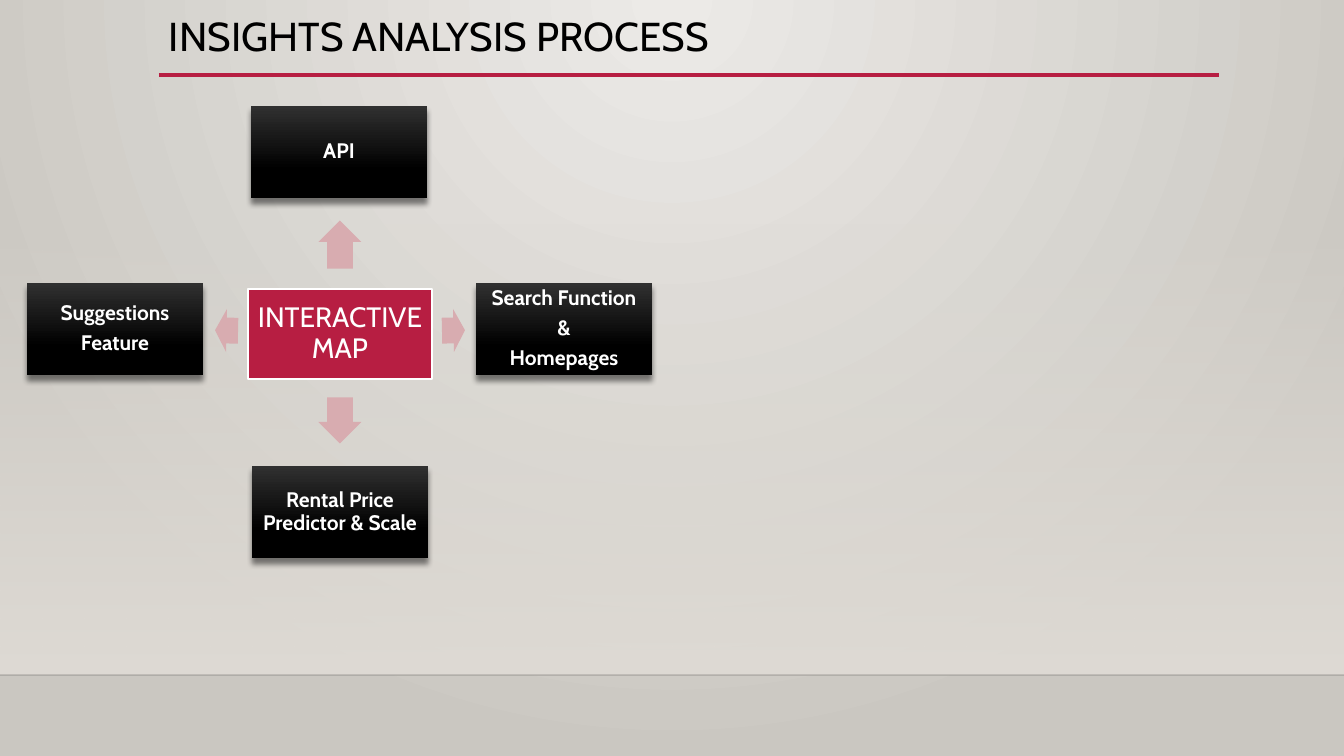
from dataclasses import dataclass

from pptx import Presentation
from pptx.dml.color import RGBColor
from pptx.enum.shapes import MSO_CONNECTOR, MSO_SHAPE
from pptx.enum.text import MSO_ANCHOR, PP_ALIGN
from pptx.oxml import parse_xml
from pptx.oxml.ns import nsdecls, qn
from pptx.util import Pt

RECT, ARROW = MSO_SHAPE.RECTANGLE, MSO_SHAPE.RIGHT_ARROW
STRAIGHT = MSO_CONNECTOR.STRAIGHT
MIDDLE = MSO_ANCHOR.MIDDLE
LEFT, CENTER = PP_ALIGN.LEFT, PP_ALIGN.CENTER

EMU_PER_PX = 914400 / 100.8
FONT = "Cabin"
COLORS = {
    "bg_light": "ECEAE7",
    "bg_dark": "CAC7C1",
    "band": "DFDBD5",
    "black": "000000",
    "charcoal": "303030",
    "white": "FFFFFF",
    "red": "B71E42",
    "pink": "D8ACB0",
}
LINEAR_DOWN = '<a:lin ang="5400000" scaled="0"/>'
RADIAL_TOP = ('<a:path path="circle"><a:fillToRect l="43000" t="0" '
              'r="43000" b="100000"/></a:path>')
BOX_W, BOX_H = 176, 92


@dataclass(frozen=True)
class Stop:
    pos: int
    color: str
    alpha: int = 100


@dataclass(frozen=True)
class Box:
    x: int
    y: int
    lines: tuple[str, ...]


@dataclass(frozen=True)
class Arrow:
    x: int
    y: int
    length: int
    rotation: float


BOX_STOPS = [Stop(0, "charcoal"), Stop(69, "black"), Stop(100, "black")]
BOXES = [
    Box(251, 106, ("API",)),
    Box(476, 283, ("Search Function", "&", "Homepages")),
    Box(252, 466, ("Rental Price Predictor & Scale",)),
    Box(27, 283, ("Suggestions", "Feature")),
]
ARROW_W = 43
ARROWS = [
    Arrow(316, 223, 48, 270),
    Arrow(442, 309, 23, 358.8),
    Arrow(317, 399, 46, 90),
    Arrow(215, 309, 23, 181.2),
]


def px(n: int) -> int:
    return round(n * EMU_PER_PX)


def rgb(name: str) -> RGBColor:
    return RGBColor.from_string(COLORS[name])


def set_gradient(fill, element, stops: list[Stop], direction: str) -> None:
    """Swap the first solid fill inside element for a gradient."""
    fill.solid()
    fill.fore_color.rgb = rgb(stops[0].color)
    gs = "".join(
        f'<a:gs pos="{st.pos * 1000}"><a:srgbClr val="{COLORS[st.color]}">'
        f'<a:alpha val="{st.alpha * 1000}"/></a:srgbClr></a:gs>'
        for st in stops)
    solid = next(element.iter(qn("a:solidFill")))
    solid.getparent().replace(solid, parse_xml(
        f'<a:gradFill {nsdecls("a")} rotWithShape="1">'
        f'<a:gsLst>{gs}</a:gsLst>{direction}</a:gradFill>'))


def add_plain(s, kind, x: int, y: int, w: int, h: int, color: str):
    """Add a flat shape without outline or shadow."""
    sp = s.shapes.add_shape(kind, px(x), px(y), px(w), px(h))
    sp.fill.solid()
    sp.fill.fore_color.rgb = rgb(color)
    sp.line.fill.background()
    sp.shadow.inherit = False
    return sp


def add_rule(s, x1: int, x2: int, y: int, color: str, width: float,
             alpha: int = 100) -> None:
    line = s.shapes.add_connector(STRAIGHT, px(x1), px(y), px(x2), px(y))
    line.line.color.rgb = rgb(color)
    line.line.width = Pt(width)
    clr = next(line._element.spPr.iter(qn("a:srgbClr")))
    clr.append(parse_xml(f'<a:alpha {nsdecls("a")} val="{alpha * 1000}"/>'))
    line._element.spPr.append(parse_xml(f'<a:effectLst {nsdecls("a")}/>'))


def write(sp, lines: tuple[str, ...], size: float, color: str,
          align=CENTER, bold: bool = False, inset: int | None = None) -> None:
    tf = sp.text_frame
    tf.word_wrap = True
    tf.vertical_anchor = MIDDLE
    if inset is not None:
        for side in ("left", "top", "right", "bottom"):
            setattr(tf, f"margin_{side}", px(inset))
    font_format = {"name": FONT, "size": Pt(size), "bold": bold}
    para_format = {"alignment": align, "line_spacing": 0.9,
                   "space_after": Pt(size * 0.35 if align == CENTER else 0)}
    for i, text in enumerate(lines):
        p = tf.add_paragraph() if i else tf.paragraphs[0]
        for key, value in para_format.items():
            setattr(p, key, value)
        r = p.add_run()
        r.text = text
        for key, value in font_format.items():
            setattr(r.font, key, value)
        r.font.color.rgb = rgb(color)


def add_box(s, box: Box) -> None:
    sp = add_plain(s, RECT, box.x, box.y, BOX_W, BOX_H, "black")
    spPr = sp._element.spPr
    set_gradient(sp.fill, spPr, BOX_STOPS, LINEAR_DOWN)
    spPr.find(qn("a:effectLst")).append(parse_xml(
        f'<a:outerShdw {nsdecls("a")} blurRad="{Pt(4)}" dist="{Pt(4)}" '
        f'dir="5400000" rotWithShape="0"><a:srgbClr val="{COLORS["black"]}">'
        '<a:alpha val="48000"/></a:srgbClr></a:outerShdw>'))
    write(sp, box.lines, 15, "white", bold=True, inset=2)


def add_arrow(s, arrow: Arrow) -> None:
    sp = add_plain(s, ARROW, arrow.x, arrow.y, arrow.length, ARROW_W, "pink")
    sp.adjustments[0], sp.adjustments[1] = 0.6, 0.5
    sp.rotation = arrow.rotation


def add_backdrop(s) -> None:
    set_gradient(s.background.fill, s._element,
                 [Stop(0, "bg_light"), Stop(100, "bg_dark")], RADIAL_TOP)
    band = add_plain(s, RECT, 0, 223, 1344, 452, "band")
    set_gradient(band.fill, band._element.spPr,
                 [Stop(0, "band", 0), Stop(100, "band")], LINEAR_DOWN)
    add_rule(s, 0, 1344, 675, "black", 1, alpha=20)


def main() -> None:
    prs = Presentation()
    prs.slide_width, prs.slide_height = px(1344), px(756)
    s = prs.slides.add_slide(prs.slide_layouts[6])
    add_backdrop(s)

    add_rule(s, 159, 1219, 75, "red", 2.5)
    title = s.shapes.add_textbox(px(159), px(10), px(1058), px(56))
    write(title, ("INSIGHTS ANALYSIS PROCESS",), 28.8, "black", align=LEFT)

    hub = add_plain(s, RECT, 248, 289, 184, 90, "red")
    hub.line.color.rgb = rgb("white")
    hub.line.width = Pt(1.25)
    write(hub, ("INTERACTIVE MAP",), 20, "white", inset=3)

    for arrow in ARROWS:
        add_arrow(s, arrow)
    for box in BOXES:
        add_box(s, box)
    prs.save("out.pptx")


if __name__ == "__main__":
    main()
